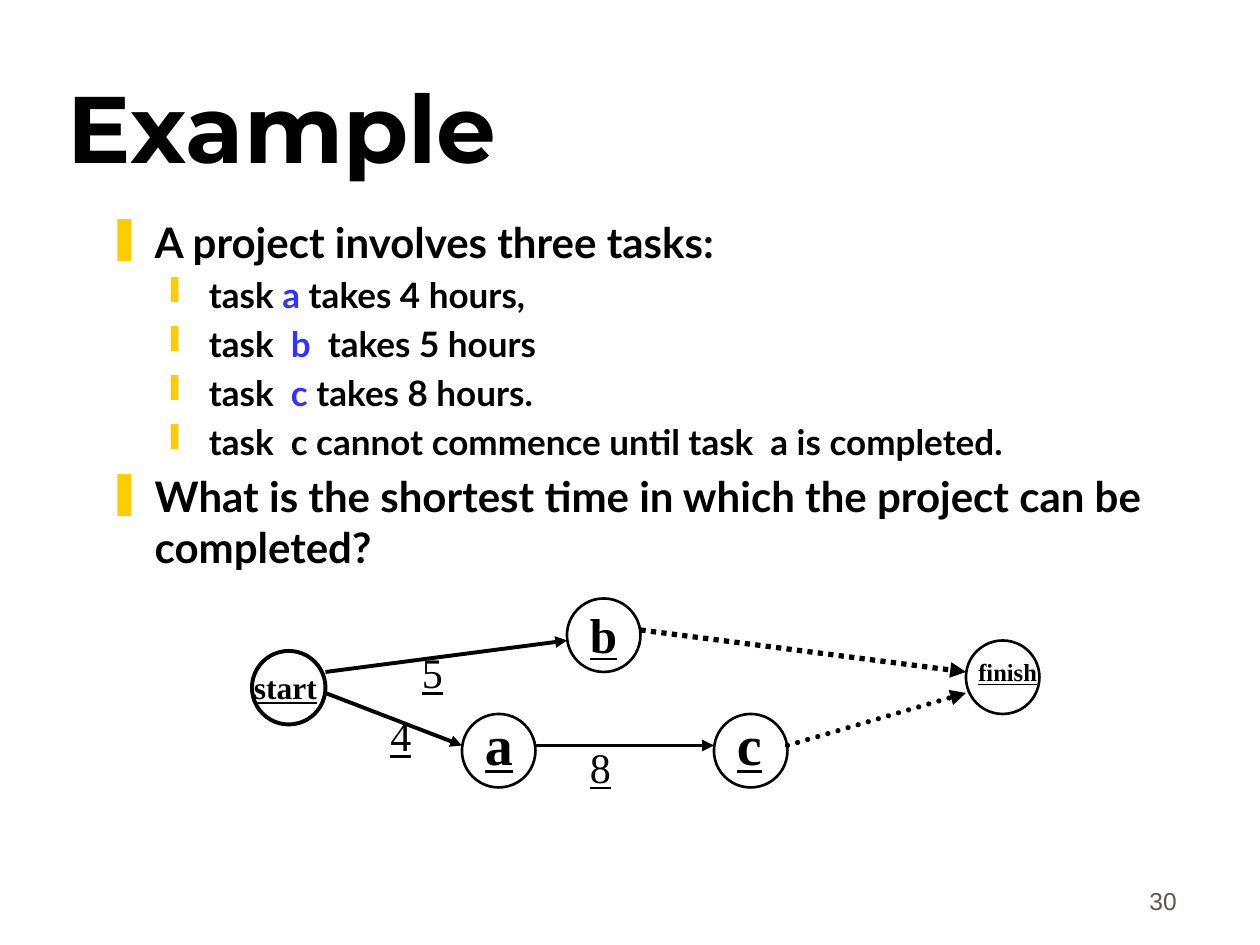
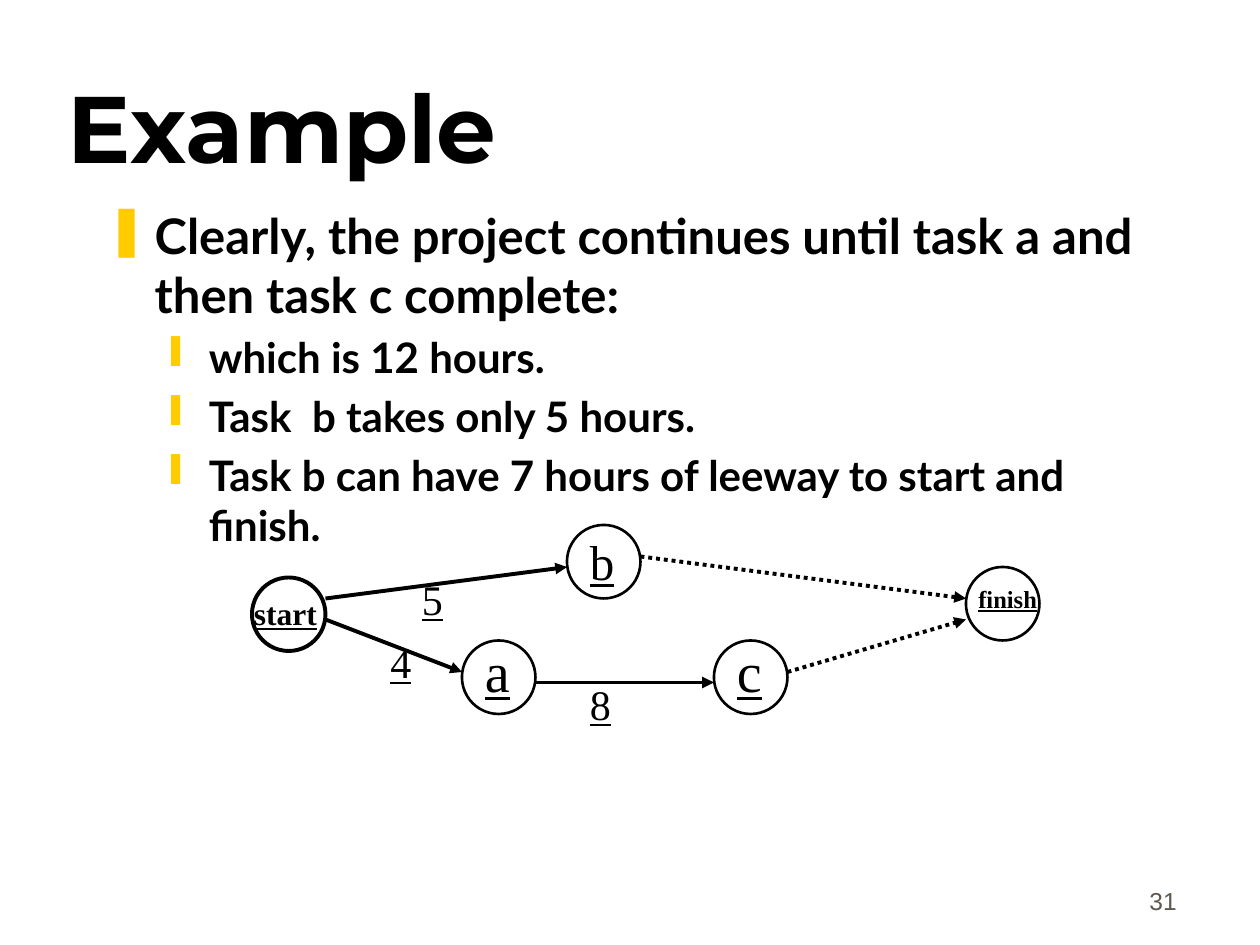
import pptx
import pptx.util
import pptx.dml.color
import pptx.enum.dml
import pptx.enum.shapes
import pptx.enum.text
import pptx.oxml.ns
import lxml.etree

COLOURS = {"text": "000000", "task": "3333FF", "bullet": "FFCC00", "number": "5E574E"}
FONTS = {"title": "Montserrat", "body": "Lato", "graph": "Times New Roman", "number": "Arial"}
BULLETS = [("❚", 0.38, 0.38), ("❙", 0.81, 0.31)]  # sign, margin, hanging indent
COLUMNS, ROWS = 120, 90
CIRCLE = 7  # diameter in columns

# Rows of the graph count from the top of circle b.
# name: circle column, row, line width, label column, row, width, height, size
NODES = {
    "start": (24, 5, 2.25, 23, 6, 12, 4.75, 18),
    "a": (44, 11, 1.5, 45, 10, 6, 7.5, 32),
    "c": (68, 11, 1.5, 69, 10, 7, 7.5, 32),
    "b": (54, 0, 1.5, 55, 0, 5, 6.75, 28),
    "finish": (92, 4, 1.5, 92, 5, 12, 4, 14),
}
# from, row, to, row
TASK_EDGES = [("start", 9, "a", 14), ("start", 7, "b", 4)]
LAST_EDGES = [("c", 14, "finish", 9), ("b", 3, "finish", 7)]
HOURS = [("5", 39, 4), ("4", 36, 10)]


def colour(name):
    return pptx.dml.color.RGBColor.from_string(COLOURS[name])


class Painter:
    def __init__(self, deck):
        self.deck = deck
        self.slide = None

    def across(self, columns):
        return round(self.deck.slide_width * columns / COLUMNS)

    def down(self, rows):
        return round(self.deck.slide_height * rows / ROWS)

    def area(self, column, row, width, height):
        return self.across(column), self.down(row), self.across(width), self.down(height)

    def style(self, font, role, size, shade="text", bold=False, underline=False):
        font.name = FONTS[role]
        font.size = pptx.util.Pt(size)
        font.color.rgb = colour(shade)
        font.bold = bold
        font.underline = underline

    def new_slide(self, title, number):
        self.slide = self.deck.slides.add_slide(self.deck.slide_layouts[5])
        box = self.slide.shapes.title
        box.left, box.top, box.width, box.height = self.area(5.25, 3, 102, 15)
        frame = box.text_frame
        frame.text = title
        frame.auto_size = pptx.enum.text.MSO_AUTO_SIZE.NONE
        frame.vertical_anchor = pptx.enum.text.MSO_ANCHOR.BOTTOM
        frame.paragraphs[0].alignment = pptx.enum.text.PP_ALIGN.LEFT
        self.style(frame.paragraphs[0].runs[0].font, "title", 54, bold=True)
        # Page number
        frame = self.text(str(number), (88.25, 81.75, 25, 6), "number", 14, shade="number")
        frame.vertical_anchor = pptx.enum.text.MSO_ANCHOR.BOTTOM
        frame.paragraphs[0].alignment = pptx.enum.text.PP_ALIGN.RIGHT

    def frame(self, place):
        frame = self.slide.shapes.add_textbox(*self.area(*place)).text_frame
        frame.word_wrap = True
        return frame

    def text(self, words, place, role, size, **look):
        frame = self.frame(place)
        frame.text = words
        self.style(frame.paragraphs[0].runs[0].font, role, size, **look)
        return frame

    def bullets(self, row, sizes, lines):
        """Each line is a level and its words; words between bars are task names."""
        frame = self.frame((9, row, 102, 54))
        for index, (level, words) in enumerate(lines):
            para = frame.add_paragraph() if index else frame.paragraphs[0]
            self.bullet(para, level)
            if index:
                para.space_before = pptx.util.Pt(sizes[level] * 0.2)
            for part, piece in enumerate(words.split("|")):
                span = para.add_run()
                span.text = piece
                shade = "task" if part % 2 else "text"
                self.style(span.font, "body", sizes[level], shade, bold=True)

    def bullet(self, para, level):
        sign, margin, hanging = BULLETS[level]
        para.level = level
        properties = para._p.get_or_add_pPr()
        properties.set("marL", str(pptx.util.Inches(margin)))
        properties.set("indent", str(-pptx.util.Inches(hanging)))
        qn = pptx.oxml.ns.qn
        shade = lxml.etree.SubElement(properties, qn("a:buClr"))
        lxml.etree.SubElement(shade, qn("a:srgbClr"), val=COLOURS["bullet"])
        lxml.etree.SubElement(properties, qn("a:buChar"), char=sign)

    def circle(self, column, row, weight):
        oval = pptx.enum.shapes.MSO_SHAPE.OVAL
        shape = self.slide.shapes.add_shape(oval, *self.area(column, row, CIRCLE, CIRCLE))
        shape.shadow.inherit = False
        shape.fill.background()
        shape.line.color.rgb = colour("text")
        shape.line.width = pptx.util.Pt(weight)

    def arrow(self, start, end, weight=2.25, dotted=False, rounded=False):
        straight = pptx.enum.shapes.MSO_CONNECTOR.STRAIGHT
        arrow = self.slide.shapes.add_connector(
            straight, self.across(start[0]), self.down(start[1]),
            self.across(end[0]), self.down(end[1]))
        arrow.line.color.rgb = colour("text")
        arrow.line.width = pptx.util.Pt(weight)
        if dotted:
            arrow.line.dash_style = pptx.enum.dml.MSO_LINE.ROUND_DOT
        outline = arrow.line._get_or_add_ln()
        if rounded:
            outline.set("cap", "rnd")
        qn = pptx.oxml.ns.qn
        lxml.etree.SubElement(outline, qn("a:tailEnd"), type="triangle")
        lxml.etree.SubElement(arrow._element.spPr, qn("a:effectLst"))

    def graph(self, top, a_to_c, dot_weight, bold_tasks, round_dots):
        """Draw the task graph; a_to_c is the row of the arrow between a and c."""
        for column, row, weight, *_ in NODES.values():
            self.circle(column, top + row, weight)

        # Arrows
        def edge(source, source_row, target, target_row, **look):
            self.arrow((NODES[source][0] + CIRCLE, top + source_row),
                       (NODES[target][0], top + target_row), **look)

        for ends in TASK_EDGES + [("a", a_to_c, "c", a_to_c)]:
            edge(*ends)
        for ends in LAST_EDGES:
            edge(*ends, weight=dot_weight, dotted=True,
                 rounded=round_dots and ends[0] == "c")

        # Names and hours
        for name, (_, _, _, column, row, width, height, size) in NODES.items():
            bold = bold_tasks or len(name) > 1
            self.text(name, (column, top + row, width, height), "graph", size,
                      bold=bold, underline=True)
        for hours, column, row in HOURS + [("8", 55, a_to_c - 1)]:
            self.text(hours, (column, top + row, 8, 6), "graph", 24, underline=True)


def main():
    deck = pptx.Presentation()
    deck.slide_width = pptx.util.Inches(10)
    deck.slide_height = pptx.util.Inches(7.5)
    painter = Painter(deck)

    # The question
    painter.new_slide("Example", 30)
    painter.bullets(20, (24, 20), [
        (0, "A project involves three tasks:"),
        (1, "task |a| takes 4 hours,"),
        (1, "task  |b|  takes 5 hours"),
        (1, "task  |c| takes 8 hours."),
        (1, "task  c cannot commence until task  a is completed."),
        (0, "What is the shortest time in which the project can be completed?"),
    ])
    painter.graph(57, a_to_c=14, dot_weight=3, bold_tasks=True, round_dots=True)

    # The answer
    painter.new_slide("Example", 31)
    painter.bullets(19, (28, 24), [
        (0, "Clearly, the project continues until task a and then task c complete:"),
        (1, "which is 12 hours."),
        (1, "Task  b takes only 5 hours."),
        (1, "Task b can have 7 hours of leeway to start and finish."),
    ])
    painter.graph(50, a_to_c=15, dot_weight=2.25, bold_tasks=False, round_dots=False)

    deck.save("out.pptx")


if __name__ == "__main__":
    main()
